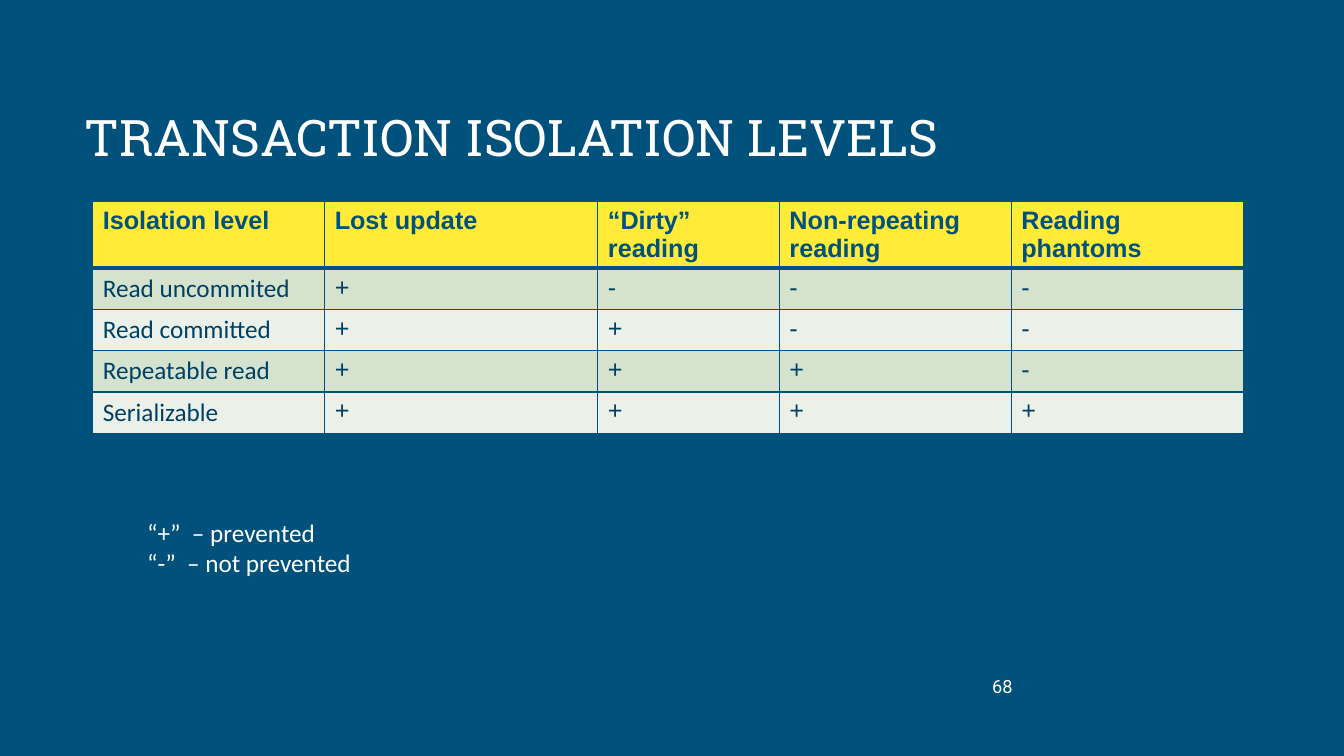
from lxml.etree import SubElement
from pptx import Presentation
from pptx.dml.color import RGBColor
from pptx.enum.text import MSO_ANCHOR as Anchor, MSO_AUTO_SIZE as Fit, PP_ALIGN as Align
from pptx.oxml.ns import qn
from pptx.util import Inches, Pt

BLUE, NAVY, WHITE, YELLOW = "00517C", "004065", "FFFFFF", "FFEB38"
BANDS = ["D4E2CE", "EBF1E8"]
COLS = [2.3, 2.71, 1.8, 2.3, 2.3]
ROW = 0.41
ROWS = [
    ["Isolation level", "Lost update", "“Dirty” reading",
     "Non-repeating reading", "Reading phantoms"],
    ["Read uncommited", "+", "-", "-", "-"],
    ["Read committed", "+", "+", "-", "-"],
    ["Repeatable read", "+", "+", "+", "-"],
    ["Serializable", "+", "+", "+", "+"],
]


def paint(fill, tint):
    fill.solid()
    fill.fore_color.rgb = RGBColor.from_string(tint)


def style(frame, font, size, tint, bold=False, align=Align.LEFT):
    for para in frame.paragraphs:
        para.alignment = align
        for run in para.runs:
            run.font.name = font
            run.font.size = Pt(size)
            run.font.bold = bold
            run.font.color.rgb = RGBColor.from_string(tint)


def place(shape, box):
    shape.left, shape.top, shape.width, shape.height = map(Inches, box)


def add_title(slide, box, text):
    title = slide.shapes.title
    place(title, box)
    frame = title.text_frame
    frame.text = text
    frame.word_wrap = True
    frame.auto_size = Fit.NONE
    frame.vertical_anchor = Anchor.MIDDLE
    frame.paragraphs[0].line_spacing = 0.9
    style(frame, "Roboto Slab", 36, WHITE)


def add_text(slide, box, text, font, size, align=Align.LEFT, anchor=Anchor.TOP):
    frame = slide.shapes.add_textbox(*map(Inches, box)).text_frame
    frame.text = text
    frame.word_wrap = True
    frame.vertical_anchor = anchor
    style(frame, font, size, WHITE, align=align)


def add_edges(cell, low):
    """Draw the four borders, the bottom one low points wide."""
    props = cell._tc.get_or_add_tcPr()
    for side, width in zip("LRTB", [1, 1, 1, low]):
        line = SubElement(props, qn(f"a:ln{side}"), w=str(Pt(width)))
        fill = SubElement(line, qn("a:solidFill"))
        SubElement(fill, qn("a:srgbClr"), val=BLUE)


def add_levels(slide, left, top):
    box = map(Inches, (left, top, sum(COLS), ROW * len(ROWS)))
    table = slide.shapes.add_table(len(ROWS), len(COLS), *box).table
    for col, width in zip(table.columns, COLS):
        col.width = Inches(width)
    for r, texts in enumerate(ROWS):
        table.rows[r].height = Inches(ROW)
        head = r == 0
        for c, text in enumerate(texts):
            cell = table.cell(r, c)
            cell.text_frame.text = text
            font = "Calibri" if c == 0 and not head else "Arial"
            style(cell.text_frame, font, 18, BLUE if head else NAVY, head)
            add_edges(cell, 3 if head else 1)
            paint(cell.fill, YELLOW if head else BANDS[(r - 1) % 2])


def main():
    deck = Presentation()
    deck.slide_width, deck.slide_height = Inches(13.33), Inches(7.5)
    slide = deck.slides.add_slide(deck.slide_layouts[5])
    paint(slide.background.fill, BLUE)
    add_title(slide, (0.74, 0.67, 9.4, 1.44), "TRANSACTION ISOLATION LEVELS")
    add_levels(slide, 0.92, 2)
    add_text(slide, (9.39, 6.61, 0.75, 0.4), "68", "Roboto", 13,
             Align.RIGHT, Anchor.MIDDLE)
    add_text(slide, (1.36, 5.08, 3.05, 0.71),
             "“+”  – prevented\n“-”  – not prevented", "Calibri", 18)
    deck.save("out.pptx")


if __name__ == "__main__":
    main()
